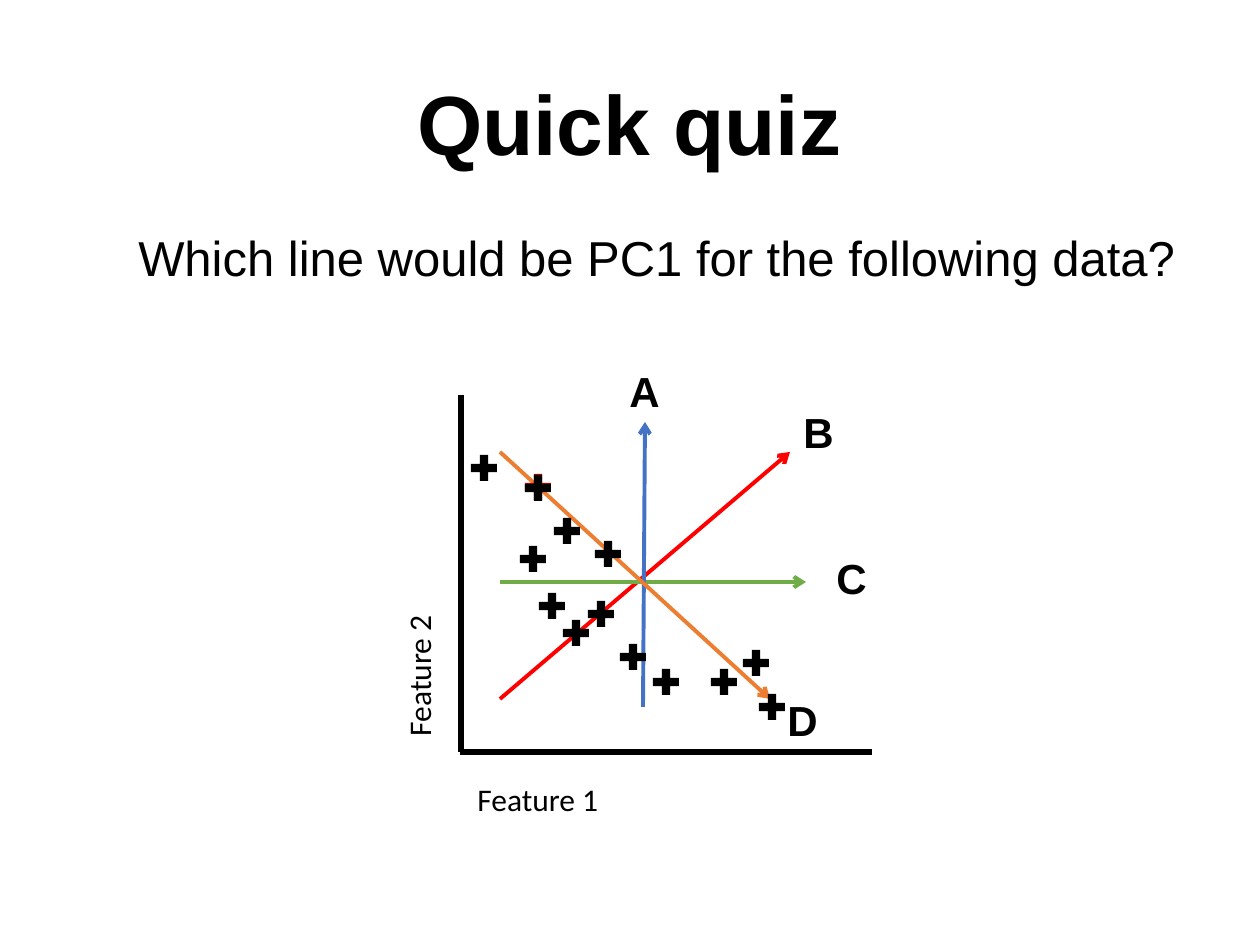
from typing import NamedTuple

from lxml import etree
from pptx import Presentation
from pptx import util as u
from pptx.dml.color import RGBColor
from pptx.enum import shapes, text
from pptx.oxml.ns import qn

PX = u.Inches(1) / 126
BLACK = "000000"
MARK_SIZE = 26


class Line(NamedTuple):
    start: tuple[int, int]
    end: tuple[int, int]
    colour: str
    points: float
    arrow: bool


class Label(NamedTuple):
    words: str
    left: int
    top: int


class Mark(NamedTuple):
    left: int
    top: int
    colour: str = BLACK


COMPONENTS = [
    Line((500, 699), (790, 452), "FF0000", 2.25, True),
    Line((500, 582), (806, 582), "70AD47", 2.25, True),
    Line((643, 707), (645, 422), "4472C4", 2.25, True),
    Line((500, 452), (770, 699), "ED7D31", 2.25, True),
]
AXES = [
    Line((461, 395), (461, 752), BLACK, 3, False),
    Line((872, 752), (460, 752), BLACK, 3, False),
]
MARKS = [
    Mark(525, 474, "C00000"), Mark(525, 475), Mark(471, 455),
    Mark(554, 518), Mark(595, 541), Mark(520, 546),
    Mark(539, 593), Mark(588, 601), Mark(563, 620),
    Mark(620, 644), Mark(653, 669), Mark(711, 669),
    Mark(743, 650), Mark(759, 694),
]
CHOICES = [
    Label("A", 617, 359), Label("B", 791, 400),
    Label("C", 824, 546), Label("D", 775, 688),
]


def px(length: int) -> int:
    return round(length * PX)


def rgb(colour: str) -> RGBColor:
    return RGBColor.from_string(colour)


def add_text(slide, words: str, left: int, top: int, width: int, height: int, *,
             size: int, font: str = "Arial", bold: bool = False,
             align=text.PP_ALIGN.LEFT, anchor=text.MSO_ANCHOR.TOP,
             spacing: float = 1.0, wrap: bool = True, rotation: int = 0) -> None:
    box = slide.shapes.add_textbox(px(left), px(top), px(width), px(height))
    box.rotation = rotation
    frame = box.text_frame
    frame.word_wrap = wrap
    frame.vertical_anchor = anchor
    paragraph = frame.paragraphs[0]
    paragraph.alignment = align
    paragraph.line_spacing = spacing
    run = paragraph.add_run()
    run.text = words
    run.font.name = font
    run.font.size = u.Pt(size)
    run.font.bold = bold
    run.font.color.rgb = rgb(BLACK)


def add_line(slide, line: Line) -> None:
    connector = slide.shapes.add_connector(
        shapes.MSO_CONNECTOR.STRAIGHT, *map(px, line.start + line.end))
    connector.line.color.rgb = rgb(line.colour)
    connector.line.width = u.Pt(line.points)
    if line.arrow:
        etree.SubElement(connector.line._get_or_add_ln(), qn("a:tailEnd"), type="arrow")
    etree.SubElement(connector._element.spPr, qn("a:effectLst"))


def add_mark(slide, mark: Mark) -> None:
    plus = slide.shapes.add_shape(
        shapes.MSO_SHAPE.CROSS, px(mark.left), px(mark.top), px(MARK_SIZE), px(MARK_SIZE))
    plus.adjustments[0] = 0.34
    plus.shadow.inherit = False
    plus.fill.solid()
    plus.fill.fore_color.rgb = rgb(mark.colour)
    plus.line.fill.background()


def main() -> None:
    deck = Presentation()
    deck.slide_width, deck.slide_height = px(1260), px(945)
    slide = deck.slides.add_slide(deck.slide_layouts[6])

    for component in COMPONENTS:
        add_line(slide, component)
    add_text(slide, "Quick quiz", 94, -149, 1071, 329, size=48, bold=True,
             align=text.PP_ALIGN.CENTER, anchor=text.MSO_ANCHOR.BOTTOM, spacing=0.9)
    add_text(slide, "Which line would be PC1 for the following data?", 121, 228, 1071, 228,
             size=28, align=text.PP_ALIGN.CENTER, spacing=0.9)
    for mark in MARKS:
        add_mark(slide, mark)
    add_text(slide, "Feature 1", 465, 774, 147, 50, size=18, font="Calibri")
    add_text(slide, "Feature 2", 345, 650, 147, 50, size=18, font="Calibri", rotation=270)
    for axis in AXES:
        add_line(slide, axis)
    for choice in CHOICES:
        add_text(slide, choice.words, choice.left, choice.top, 57, 63,
                 size=24, bold=True, wrap=False)

    deck.save("out.pptx")


if __name__ == "__main__":
    main()
